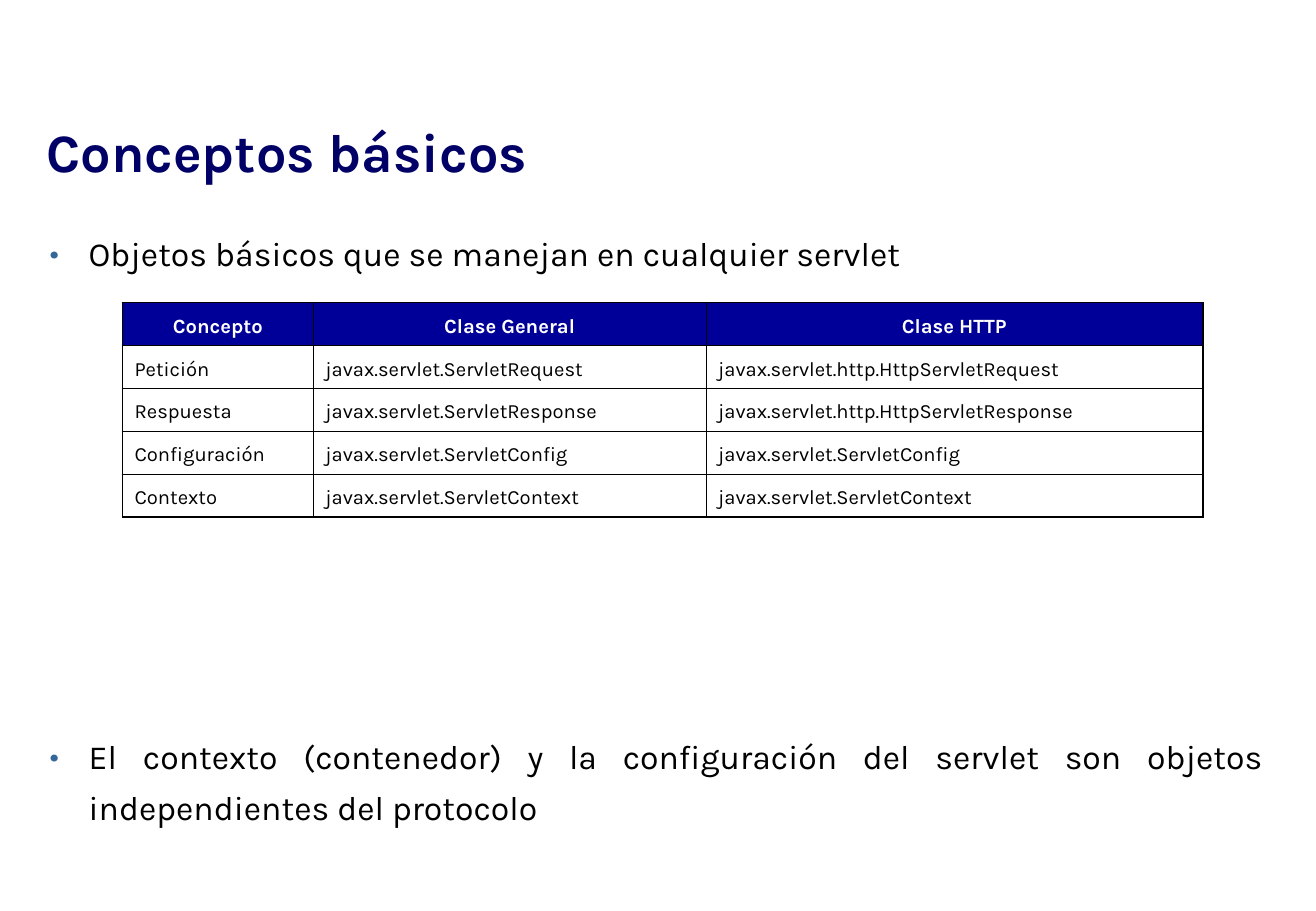
"""Build the slide on basic servlet objects."""
from dataclasses import dataclass

from lxml import etree
from pptx import Presentation
from pptx import util as u
from pptx.dml.color import RGBColor
from pptx.enum import text
from pptx.oxml.ns import qn


@dataclass(frozen=True)
class Theme:
    font: str = "Karla"
    title: str = "000066"
    bullet: str = "336699"
    header: str = "000099"
    ink: str = "000000"
    paper: str = "FFFFFF"
    title_size: float = 32
    body_size: float = 20
    table_size: float = 12
    leading: float = 1.25
    outer_line: float = 1.08
    inner_line: float = 0.45


@dataclass(frozen=True)
class Bullet:
    words: str
    space_before: float


@dataclass(frozen=True)
class Concept:
    name: str
    general: str
    http: str


THEME = Theme()
BULLETS = [
    Bullet("Objetos básicos que se manejan en cualquier servlet", 0),
    Bullet("El contexto (contenedor) y la configuración del servlet son objetos "
           "independientes del protocolo", 268),
]
CONCEPTS = [
    Concept("Concepto", "Clase General", "Clase HTTP"),
    Concept("Petición", "javax.servlet.ServletRequest",
            "javax.servlet.http.HttpServletRequest"),
    Concept("Respuesta", "javax.servlet.ServletResponse",
            "javax.servlet.http.HttpServletResponse"),
    Concept("Configuración", "javax.servlet.ServletConfig", "javax.servlet.ServletConfig"),
    Concept("Contexto", "javax.servlet.ServletContext", "javax.servlet.ServletContext"),
]
COLUMN_WIDTHS = [113.2, 232.9, 294.7]
ROW_HEIGHT = 25.4


def add_span(para, words: str, size: float, color: str, bold: bool = False) -> None:
    span = para.add_run()
    span.text = words
    span.font.name = THEME.font
    span.font.size = u.Pt(size)
    span.font.bold = bold
    span.font.color.rgb = RGBColor.from_string(color)


def set_frame(frame, anchor) -> None:
    frame.word_wrap = True
    frame.auto_size = text.MSO_AUTO_SIZE.NONE
    frame.vertical_anchor = anchor
    frame.margin_left = frame.margin_right = u.Pt(3.6)
    frame.margin_top = frame.margin_bottom = u.Pt(3.6)


def add_title(page) -> None:
    title = page.shapes.title
    title.left, title.top = u.Pt(23.9), u.Pt(18)
    title.width, title.height = u.Pt(642.2), u.Pt(94.3)
    set_frame(title.text_frame, text.MSO_ANCHOR.BOTTOM)
    para = title.text_frame.paragraphs[0]
    para.alignment = text.PP_ALIGN.LEFT
    add_span(para, "Conceptos básicos", THEME.title_size, THEME.title, bold=True)


def add_bullet(para, bullet: Bullet) -> None:
    para.alignment = text.PP_ALIGN.JUSTIFY
    para.line_spacing = THEME.leading
    para.space_before = u.Pt(bullet.space_before)
    props = para._p.get_or_add_pPr()
    props.set("marL", str(u.Pt(27.4)))
    props.set("indent", str(-u.Pt(23.1)))
    color = etree.SubElement(props, qn("a:buClr"))
    etree.SubElement(color, qn("a:srgbClr"), val=THEME.bullet)
    etree.SubElement(props, qn("a:buFont"), typeface=THEME.font)
    etree.SubElement(props, qn("a:buChar"), char="•")
    add_span(para, bullet.words, THEME.body_size, THEME.ink)


def add_body(page) -> None:
    box = page.shapes.add_textbox(u.Pt(21.6), u.Pt(128.6), u.Pt(731.5), u.Pt(391))
    frame = box.text_frame
    set_frame(frame, text.MSO_ANCHOR.TOP)
    for index, bullet in enumerate(BULLETS):
        para = frame.add_paragraph() if index else frame.paragraphs[0]
        add_bullet(para, bullet)


def set_borders(cell, outer: dict[str, bool]) -> None:
    props = cell._tc.get_or_add_tcPr()
    for index, (side, is_outer) in enumerate(outer.items()):
        width = THEME.outer_line if is_outer else THEME.inner_line
        line = etree.Element(qn(f"a:ln{side}"), w=str(u.Pt(width)))
        fill = etree.SubElement(line, qn("a:solidFill"))
        etree.SubElement(fill, qn("a:srgbClr"), val=THEME.ink)
        props.insert(index, line)


def fill_cell(cell, words: str, is_header: bool) -> None:
    cell.margin_left = cell.margin_right = u.Pt(7.2)
    cell.margin_top = cell.margin_bottom = u.Pt(3.6)
    para = cell.text_frame.paragraphs[0]
    para.line_spacing = THEME.leading
    para.alignment = text.PP_ALIGN.CENTER if is_header else text.PP_ALIGN.LEFT
    if is_header:
        cell.fill.solid()
        cell.fill.fore_color.rgb = RGBColor.from_string(THEME.header)
    else:
        cell.fill.background()
    color = THEME.paper if is_header else THEME.ink
    add_span(para, words, THEME.table_size, color, bold=is_header)


def add_concept_table(page) -> None:
    rows, columns = len(CONCEPTS), len(COLUMN_WIDTHS)
    table = page.shapes.add_table(
        rows, columns, u.Pt(72.6), u.Pt(179.4),
        u.Pt(sum(COLUMN_WIDTHS)), u.Pt(ROW_HEIGHT * rows)).table
    table.first_row = table.horz_banding = False
    for column, width in zip(table.columns, COLUMN_WIDTHS):
        column.width = u.Pt(width)
    for r, concept in enumerate(CONCEPTS):
        table.rows[r].height = u.Pt(ROW_HEIGHT)
        for c, words in enumerate((concept.name, concept.general, concept.http)):
            cell = table.cell(r, c)
            fill_cell(cell, words, is_header=r == 0)
            set_borders(cell, {"L": c == 0, "R": c == columns - 1,
                               "T": r == 0, "B": r == rows - 1})


def main() -> None:
    deck = Presentation()
    deck.slide_width = u.Pt(780.48)
    deck.slide_height = u.Pt(540)
    page = deck.slides.add_slide(deck.slide_layouts.get_by_name("Title Only"))
    add_title(page)
    add_body(page)
    add_concept_table(page)
    deck.save("out.pptx")


if __name__ == "__main__":
    main()
